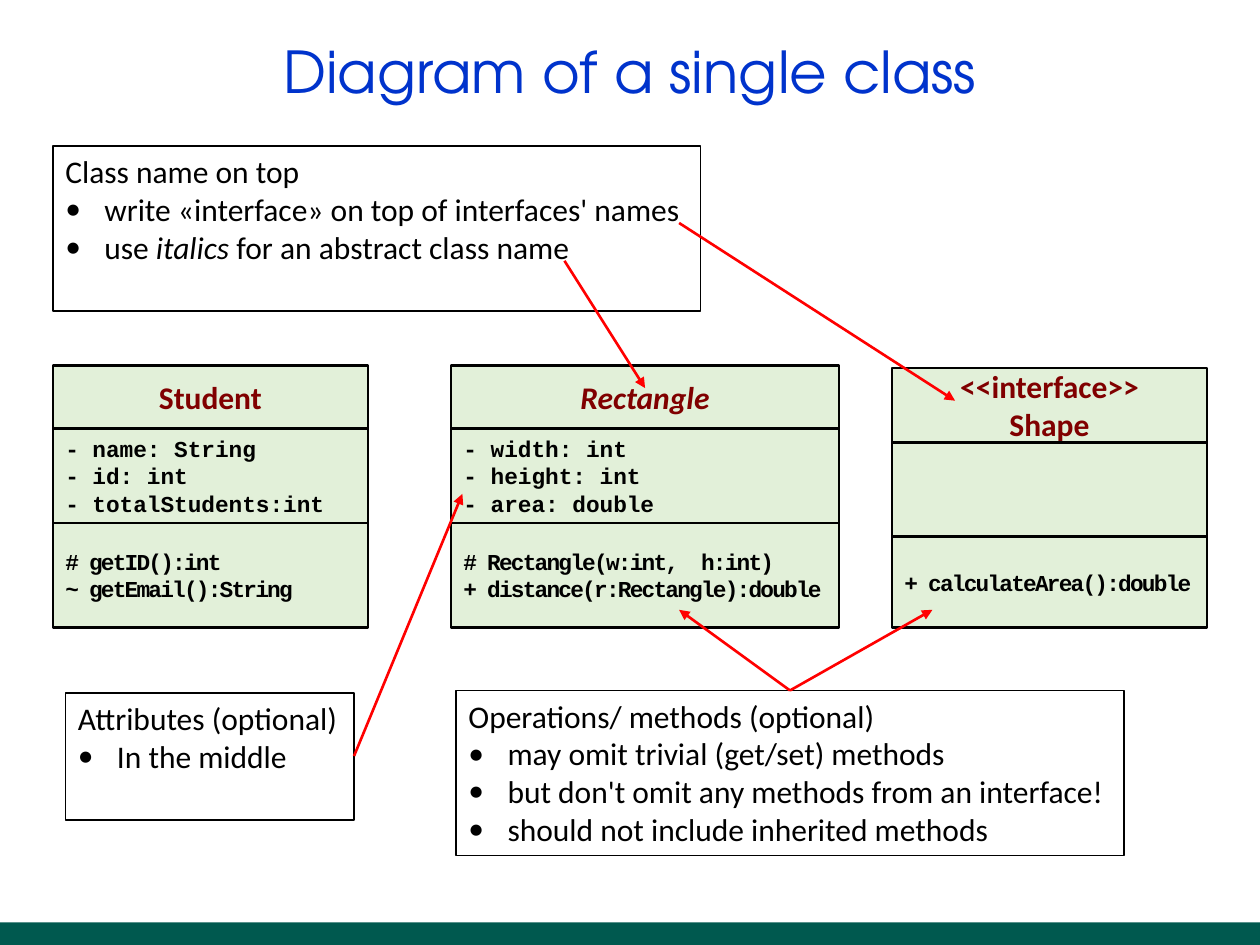
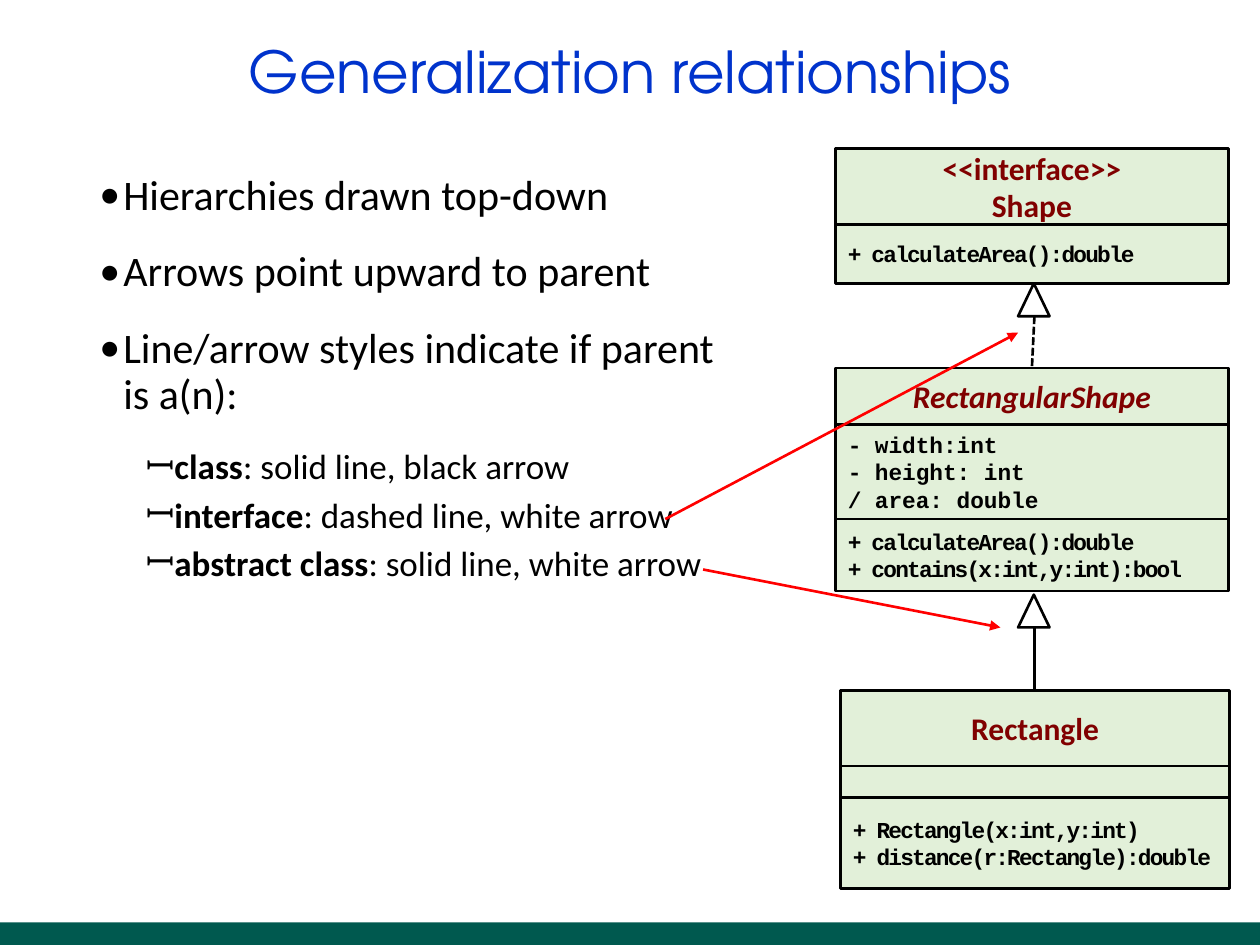
from pptx import Presentation
from pptx.dml.color import RGBColor
from pptx.enum.dml import MSO_LINE
from pptx.enum.shapes import MSO_CONNECTOR, MSO_SHAPE
from pptx.enum.text import MSO_ANCHOR, PP_ALIGN
from pptx.oxml.xmlchemy import OxmlElement
from pptx.util import Inches, Pt

BLACK = RGBColor(0x00, 0x00, 0x00)
WHITE = RGBColor(0xFF, 0xFF, 0xFF)
RED = RGBColor(0xFF, 0x00, 0x00)
MAROON = RGBColor(0x80, 0x00, 0x00)
PALE_GREEN = RGBColor(0xE2, 0xF0, 0xD9)
BAND_GREEN = RGBColor(0x00, 0x59, 0x4F)
TITLE_BLUE = RGBColor(0x00, 0x33, 0xCC)
SANS, MONO, DISPLAY = "Calibri", "Courier New", "TeX Gyre Adventor"

# Classes: left, top, width, italic name, then (height, lines) for each part
SINGLE_CLASSES = [
    dict(at=(3.58, 2.9, 3.08), abstract=True, name=(0.5, ["Rectangle"]),
         attributes=(0.75, ["- width: int", "- height: int", "- area: double"]),
         methods=(0.83, ["# Rectangle(w:int,  h:int)", "+ distance(r:Rectangle):double"])),
    dict(at=(0.42, 2.9, 2.5), name=(0.5, ["Student"]),
         attributes=(0.75, ["- name: String", "- id: int", "- totalStudents:int"]),
         methods=(0.83, ["# getID():int", "~ getEmail():String"])),
    dict(at=(7.08, 2.92, 2.5), name=(0.59, ["<<interface>>", "Shape"]),
         attributes=(0.75, []),
         methods=(0.72, ["+ calculateArea():double"])),
]
HIERARCHY = [
    dict(at=(6.63, 1.18, 3.12), name=(0.6, ["<<interface>>", "Shape"]),
         methods=(0.47, ["+ calculateArea():double"])),
    dict(at=(6.63, 2.92, 3.12), abstract=True, name=(0.45, ["RectangularShape"]),
         attributes=(0.75, ["- width:int", "- height: int", "/ area: double"]),
         methods=(0.57, ["+ calculateArea():double", "+ contains(x:int,y:int):bool"])),
    dict(at=(6.67, 5.48, 3.09), name=(0.6, ["Rectangle"]),
         attributes=(0.25, []),
         methods=(0.72, ["+ Rectangle(x:int,y:int)", "+ distance(r:Rectangle):double"])),
]

# Notes: box, heading, bullets; a paragraph is text or a list of (text, style) runs
NOTES = [
    ((0.42, 1.16, 5.14, 1.31), "Class name on top",
     ["write «interface» on top of interfaces' names",
      [("use ", ""), ("italics ", "i"), ("for an abstract class name", "")]]),
    ((0.52, 5.5, 2.29, 1.01), "Attributes (optional)", ["In the middle"]),
    ((3.62, 5.48, 5.3, 1.31), "Operations/ methods (optional)",
     ["may omit trivial (get/set) methods",
      "but don't omit any methods from an interface!",
      "should not include inherited methods"]),
]
RULES = ["Hierarchies drawn top-down", "Arrows point upward to parent",
         "Line/arrow styles indicate if parent is a(n):"]
STYLES = [("class", ": solid line, black arrow"),
          ("interface", ": dashed line, white arrow"),
          ("abstract class", ": solid line, white arrow")]

# Pointers: start and end points
NOTE_POINTERS = [((4.48, 2.07), (5.12, 3.08)), ((5.39, 1.77), (7.58, 3.18)),
                 ((2.81, 6), (3.67, 3.92)),
                 ((6.27, 5.48), (5.39, 4.84)), ((6.27, 5.48), (7.4, 4.84))]
STYLE_POINTERS = [((5.58, 4.52), (7.94, 4.98)), ((5.28, 4.12), (8.08, 2.64))]

# Inheritance arrows: top of the white head, start and end of the stem, dash
INHERITANCE = [(2.25, (8.21, 2.51), (8.19, 2.92), MSO_LINE.SQUARE_DOT),
               (4.72, (8.21, 4.98), (8.21, 5.48), None)]


def write(tf, paras, size=18, font=SANS, color=BLACK, bold=False, italic=False,
          align=PP_ALIGN.LEFT, spacing=None, before=0, after=0,
          bullet=None, indent=0, hang=0, tracking=0):
    """Add paragraphs to a text frame, starting in its empty first one."""
    for para in paras:
        first = len(tf.paragraphs) == 1 and not tf.paragraphs[0].runs
        p = tf.paragraphs[0] if first else tf.add_paragraph()
        if bullet:
            pPr = p._p.get_or_add_pPr()
            pPr.set("marL", str(Inches(indent)))
            pPr.set("indent", str(-Inches(hang)))
            for tag, key, value in (("a:buFont", "typeface", font),
                                    ("a:buChar", "char", bullet)):
                bu = OxmlElement(tag)
                bu.set(key, value)
                pPr.append(bu)
        p.alignment = align
        p.line_spacing = spacing
        p.space_before = Pt(0 if first else before)
        p.space_after = Pt(after)
        for text, style in ([(para, "")] if isinstance(para, str) else para):
            r = p.add_run()
            r.text = text
            r.font.size, r.font.name = Pt(size), font
            r.font.bold = bold or "b" in style
            r.font.italic = italic or "i" in style
            r.font.color.rgb = color
            if tracking:
                r._r.get_or_add_rPr().set("spc", str(tracking * 100))


def add_box(shapes, kind, at, fill=None, line=None, weight=1.5, anchor=MSO_ANCHOR.TOP):
    sp = shapes.add_shape(kind, *map(Inches, at))
    sp.shadow.inherit = False
    if fill is None:
        sp.fill.background()
    else:
        sp.fill.solid()
        sp.fill.fore_color.rgb = fill
    if line is None:
        sp.line.fill.background()
    else:
        sp.line.color.rgb = line
        sp.line.width = Pt(weight)
    sp.text_frame.word_wrap = True
    sp.text_frame.vertical_anchor = anchor
    return sp


def add_text(s, at, anchor=MSO_ANCHOR.TOP):
    tf = s.shapes.add_textbox(*map(Inches, at)).text_frame
    tf.word_wrap = True
    tf.vertical_anchor = anchor
    return tf


def add_line(s, start, end, color, dash=None, arrow=False):
    cn = s.shapes.add_connector(MSO_CONNECTOR.STRAIGHT, *map(Inches, start + end))
    cn.line.color.rgb = color
    cn.line.width = Pt(1.5)
    if dash:
        cn.line.dash_style = dash
    if arrow:
        head = OxmlElement("a:tailEnd")
        head.set("type", "triangle")
        cn.line._get_or_add_ln().append(head)
    cn._element.spPr.append(OxmlElement("a:effectLst"))


def add_class(s, at, name, methods, attributes=None, abstract=False):
    """Stack the parts of one class diagram from the top down."""
    left, top, width = at
    group = s.shapes.add_group_shape()
    code = dict(size=13, font=MONO, bold=True)
    parts = [(name, dict(color=MAROON, bold=True, italic=abstract, align=PP_ALIGN.CENTER)),
             (attributes, code), (methods, dict(code, tracking=-1))]
    for part, fmt in parts:
        if part:
            height, lines = part
            sp = add_box(group.shapes, MSO_SHAPE.FLOWCHART_PROCESS, (left, top, width, height),
                         PALE_GREEN, BLACK, anchor=MSO_ANCHOR.MIDDLE)
            write(sp.text_frame, lines, **fmt)
            top += height


def add_slide(prs, title):
    s = prs.slides.add_slide(prs.slide_layouts[6])
    add_box(s.shapes, MSO_SHAPE.RECTANGLE, (0, 7.32, 10, 0.18), BAND_GREEN)
    write(add_text(s, (0.69, 0.12, 8.62, 0.94), MSO_ANCHOR.MIDDLE), [title], size=33,
          font=DISPLAY, color=TITLE_BLUE, align=PP_ALIGN.CENTER, spacing=0.9)
    return s


def single_class_slide(prs):
    s = add_slide(prs, "Diagram of a single class")
    for diagram in SINGLE_CLASSES:
        add_class(s, **diagram)
    for at, heading, bullets in NOTES:
        tf = add_box(s.shapes, MSO_SHAPE.RECTANGLE, at, WHITE, BLACK, weight=1).text_frame
        write(tf, [heading])
        write(tf, bullets, bullet="•", indent=0.31, hang=0.31)
    for start, end in NOTE_POINTERS:
        add_line(s, start, end, RED, arrow=True)


def generalization_slide(prs):
    s = add_slide(prs, "Generalization relationships")
    tf = add_text(s, (0.69, 1.33, 5.31, 5.42))
    body = dict(spacing=0.9, before=6, hang=0.19)
    write(tf, RULES, size=24, after=12, bullet="•", indent=0.19, **body)
    write(tf, [[(kind, "b"), (look, "")] for kind, look in STYLES],
          size=20, bullet="ꟷ", indent=0.56, **body)
    for diagram in HIERARCHY:
        add_class(s, **diagram)
    for top, start, end, dash in INHERITANCE:
        add_box(s.shapes, MSO_SHAPE.ISOSCELES_TRIANGLE, (8.08, top, 0.25, 0.26), line=BLACK)
        add_line(s, start, end, BLACK, dash)
    for start, end in STYLE_POINTERS:
        add_line(s, start, end, RED, arrow=True)


def main():
    prs = Presentation()
    prs.slide_width, prs.slide_height = Inches(10), Inches(7.5)
    single_class_slide(prs)
    generalization_slide(prs)
    prs.save("out.pptx")


if __name__ == "__main__":
    main()
